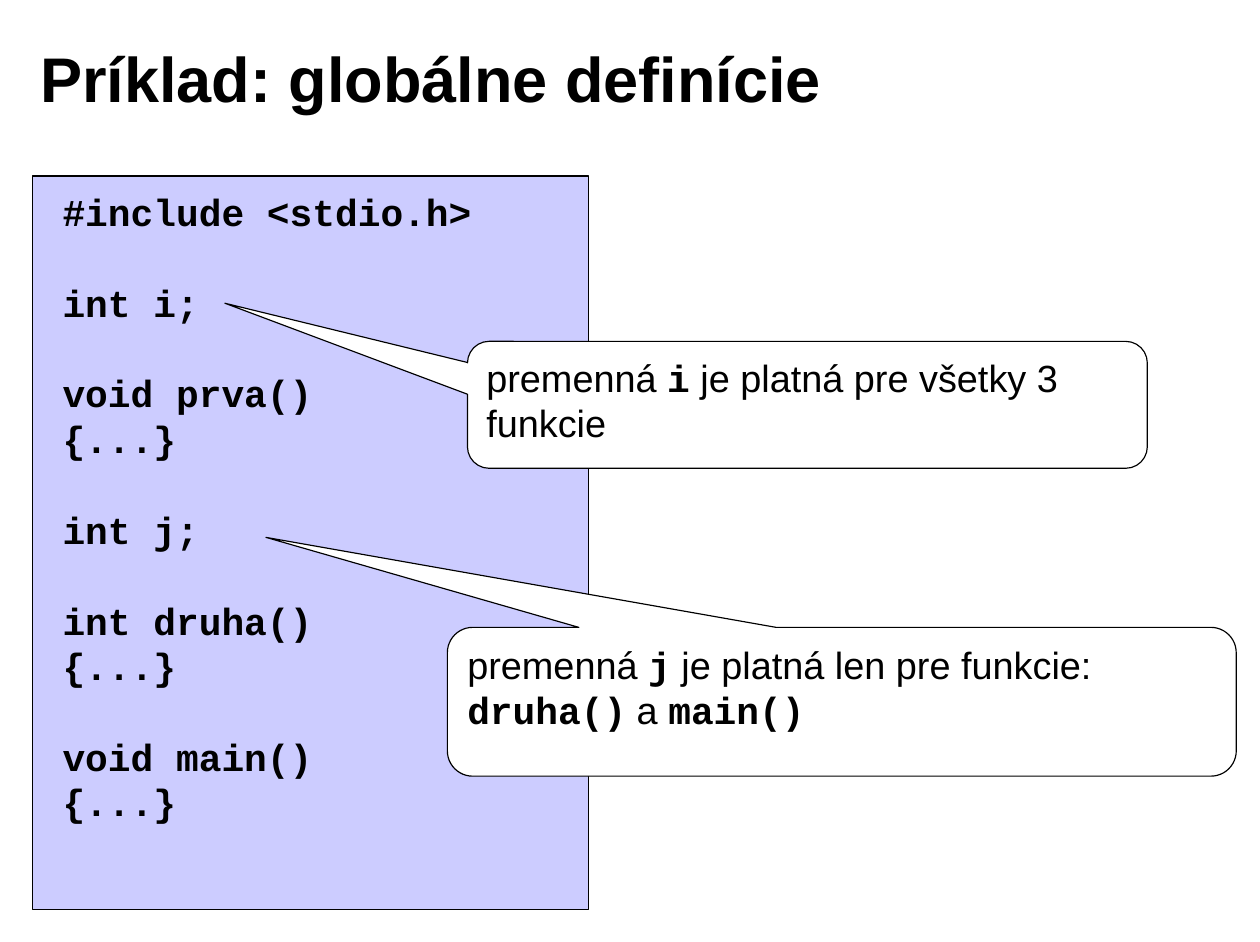
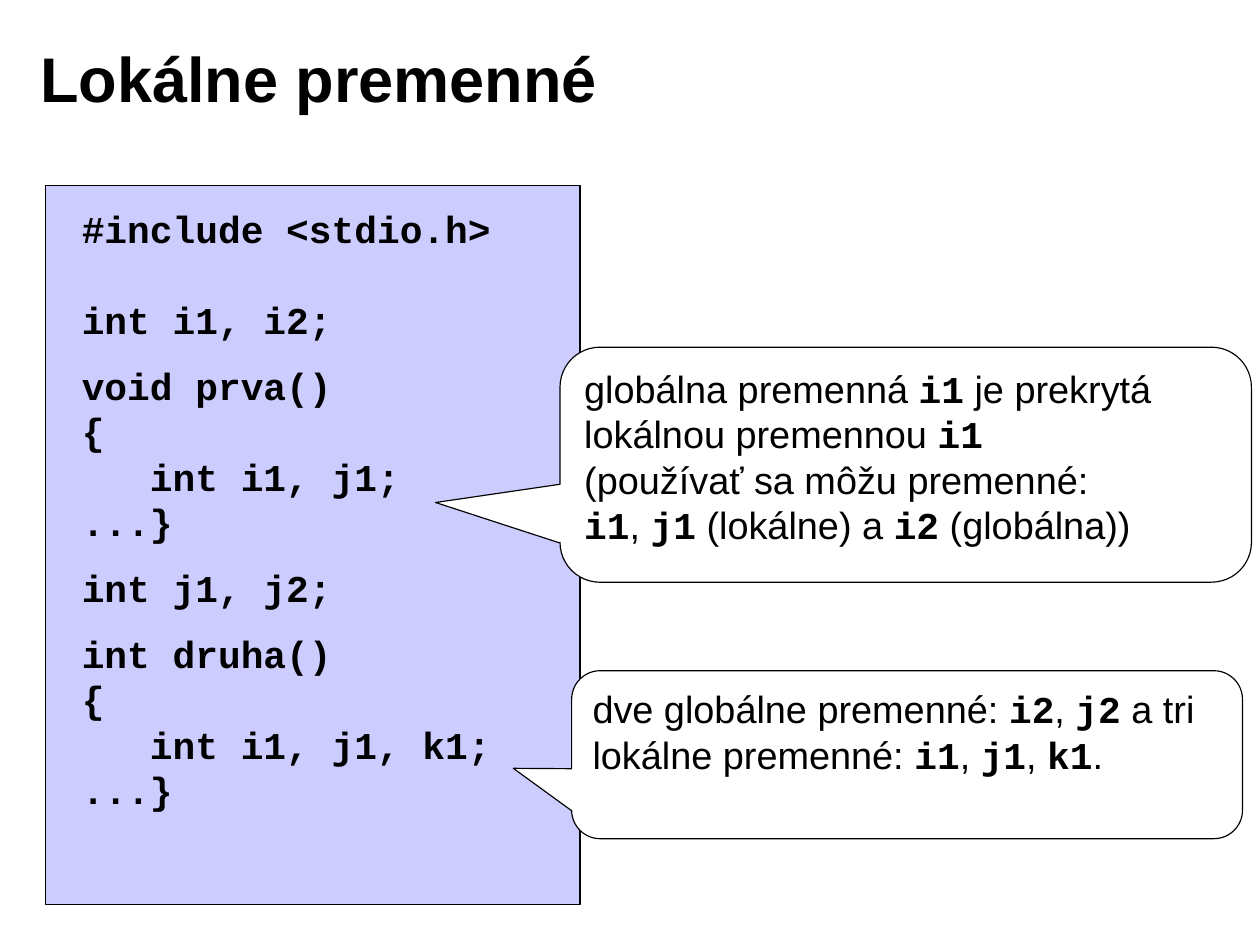
from dataclasses import dataclass

import pptx
import pptx.dml.color
import pptx.enum.shapes
import pptx.enum.text
import pptx.util
from pptx.util import Cm


@dataclass(frozen=True)
class Theme:
    text_font: str = "Arial"
    code_font: str = "Courier New"
    ink: str = "000000"
    paper: str = "FFFFFF"
    code_fill: str = "CCCCFF"
    title_size: float = 40
    text_size: float = 24
    line_pitch: float = 28.8
    small_gap: float = 13
    outline: float = 0.75


@dataclass(frozen=True)
class Area:
    left: float
    top: float
    width: float
    height: float

    def lengths(self) -> tuple:
        return Cm(self.left), Cm(self.top), Cm(self.width), Cm(self.height)


@dataclass(frozen=True)
class CodeBlock:
    lines: tuple[str, ...]
    gap: float = 0


@dataclass(frozen=True)
class Callout:
    area: Area
    tip: tuple[float, float]
    lines: tuple[str, ...]


@dataclass(frozen=True)
class Lesson:
    title: str
    panel: Area
    code_area: Area
    code: tuple[CodeBlock, ...]
    callouts: tuple[Callout, ...]


THEME = Theme()
TITLE_AREA = Area(0.62, 0.43, 22.63, 2.59)
CORNER = 0.17

LESSONS = (
    Lesson(
        "Príklad: globálne definície",
        Area(0.72, 3.94, 12.45, 16.41),
        Area(1.12, 4.07, 9.8, 14.5),
        (
            CodeBlock(("#include <stdio.h>",)),
            CodeBlock(("int i;",), THEME.line_pitch),
            CodeBlock(("void prva()", "{...}"), THEME.line_pitch),
            CodeBlock(("int j;",), THEME.line_pitch),
            CodeBlock(("int druha()", "{...}"), THEME.line_pitch),
            CodeBlock(("void main()", "{...}"), THEME.line_pitch),
        ),
        (
            Callout(Area(10.46, 7.64, 15.21, 2.84), (-0.857, -0.801),
                    ("premenná `i` je platná pre všetky 3 funkcie",)),
            Callout(Area(10.01, 14.04, 17.65, 3.33), (-0.73, -1.105),
                    ("premenná `j` je platná len pre funkcie:",
                     "`druha()` a `main()`")),
        ),
    ),
    Lesson(
        "Lokálne premenné",
        Area(1.02, 4.16, 11.96, 16.08),
        Area(1.55, 4.46, 9.8, 13.87),
        (
            CodeBlock(("#include <stdio.h>",)),
            CodeBlock(("int i1, i2;",), THEME.line_pitch),
            CodeBlock(("void prva()", "{", "   int i1, j1;", "...}"), THEME.small_gap),
            CodeBlock(("int j1, j2;",), THEME.small_gap),
            CodeBlock(("int druha()", "{", "   int i1, j1, k1;", "...}"), THEME.small_gap),
        ),
        (
            Callout(Area(12.53, 7.77, 15.47, 5.26), (-0.68, 0.161),
                    ("globálna premenná `i1` je prekrytá lokálnou premennou `i1`",
                     "(používať sa môžu premenné:",
                     "`i1`, `j1` (lokálne) a `i2` (globálna))")),
            Callout(Area(12.79, 15.01, 15.01, 3.76), (-0.587, 0.081),
                    ("dve globálne premenné: `i2`, `j2` a tri lokálne premenné: `i1`, `j1`, `k1`.",)),
        ),
    ),
)


def color(value: str) -> pptx.dml.color.RGBColor:
    return pptx.dml.color.RGBColor.from_string(value)


def style_font(font, name: str, size: float, bold: bool) -> None:
    font.name = name
    font.size = pptx.util.Pt(size)
    font.bold = bold
    font.color.rgb = color(THEME.ink)


def prepare_frame(frame, anchor, wrap: bool = True) -> None:
    frame.word_wrap = wrap
    frame.vertical_anchor = anchor
    frame.margin_left = frame.margin_right = Cm(0.28)
    frame.margin_top = frame.margin_bottom = Cm(0.15)


def next_paragraph(frame, index: int):
    para = frame.add_paragraph() if index else frame.paragraphs[0]
    para.alignment = pptx.enum.text.PP_ALIGN.LEFT
    para.line_spacing = pptx.util.Pt(THEME.line_pitch)
    return para


def add_box(page, kind, area: Area, fill: str):
    box = page.shapes.add_shape(kind, *area.lengths())
    box.shadow.inherit = False
    box.fill.solid()
    box.fill.fore_color.rgb = color(fill)
    box.line.color.rgb = color(THEME.ink)
    box.line.width = pptx.util.Pt(THEME.outline)
    return box


def set_title(page, text: str) -> None:
    title = page.shapes.title
    title.left, title.top, title.width, title.height = TITLE_AREA.lengths()
    prepare_frame(title.text_frame, pptx.enum.text.MSO_ANCHOR.MIDDLE)
    title.text_frame.text = text
    para = title.text_frame.paragraphs[0]
    para.alignment = pptx.enum.text.PP_ALIGN.LEFT
    style_font(para.font, THEME.text_font, THEME.title_size, True)


def add_code(page, area: Area, blocks: tuple[CodeBlock, ...]) -> None:
    frame = page.shapes.add_textbox(*area.lengths()).text_frame
    prepare_frame(frame, pptx.enum.text.MSO_ANCHOR.TOP, wrap=False)
    frame.auto_size = pptx.enum.text.MSO_AUTO_SIZE.SHAPE_TO_FIT_TEXT
    rows = [(line, 0 if position else block.gap)
            for block in blocks for position, line in enumerate(block.lines)]
    for index, (line, gap) in enumerate(rows):
        para = next_paragraph(frame, index)
        if gap:
            para.space_before = pptx.util.Pt(gap)
        para.text = line
        style_font(para.font, THEME.code_font, THEME.text_size, True)


def add_callout(page, callout: Callout) -> None:
    kind = pptx.enum.shapes.MSO_SHAPE.ROUNDED_RECTANGULAR_CALLOUT
    box = add_box(page, kind, callout.area, THEME.paper)
    for index, value in enumerate((*callout.tip, CORNER)):
        box.adjustments[index] = value
    frame = box.text_frame
    prepare_frame(frame, pptx.enum.text.MSO_ANCHOR.TOP)
    for index, line in enumerate(callout.lines):
        para = next_paragraph(frame, index)
        for position, part in enumerate(line.split("`")):
            if part:
                is_code = position % 2 == 1
                span = para.add_run()
                span.text = part
                name = THEME.code_font if is_code else THEME.text_font
                style_font(span.font, name, THEME.text_size, is_code)


def add_lesson(deck, lesson: Lesson) -> None:
    page = deck.slides.add_slide(deck.slide_layouts[5])
    set_title(page, lesson.title)
    add_box(page, pptx.enum.shapes.MSO_SHAPE.RECTANGLE, lesson.panel, THEME.code_fill)
    add_code(page, lesson.code_area, lesson.code)
    for callout in lesson.callouts:
        add_callout(page, callout)


def main() -> None:
    deck = pptx.Presentation()
    deck.slide_width = Cm(28.19)
    deck.slide_height = Cm(21.08)
    for lesson in LESSONS:
        add_lesson(deck, lesson)
    deck.save("out.pptx")


if __name__ == "__main__":
    main()
